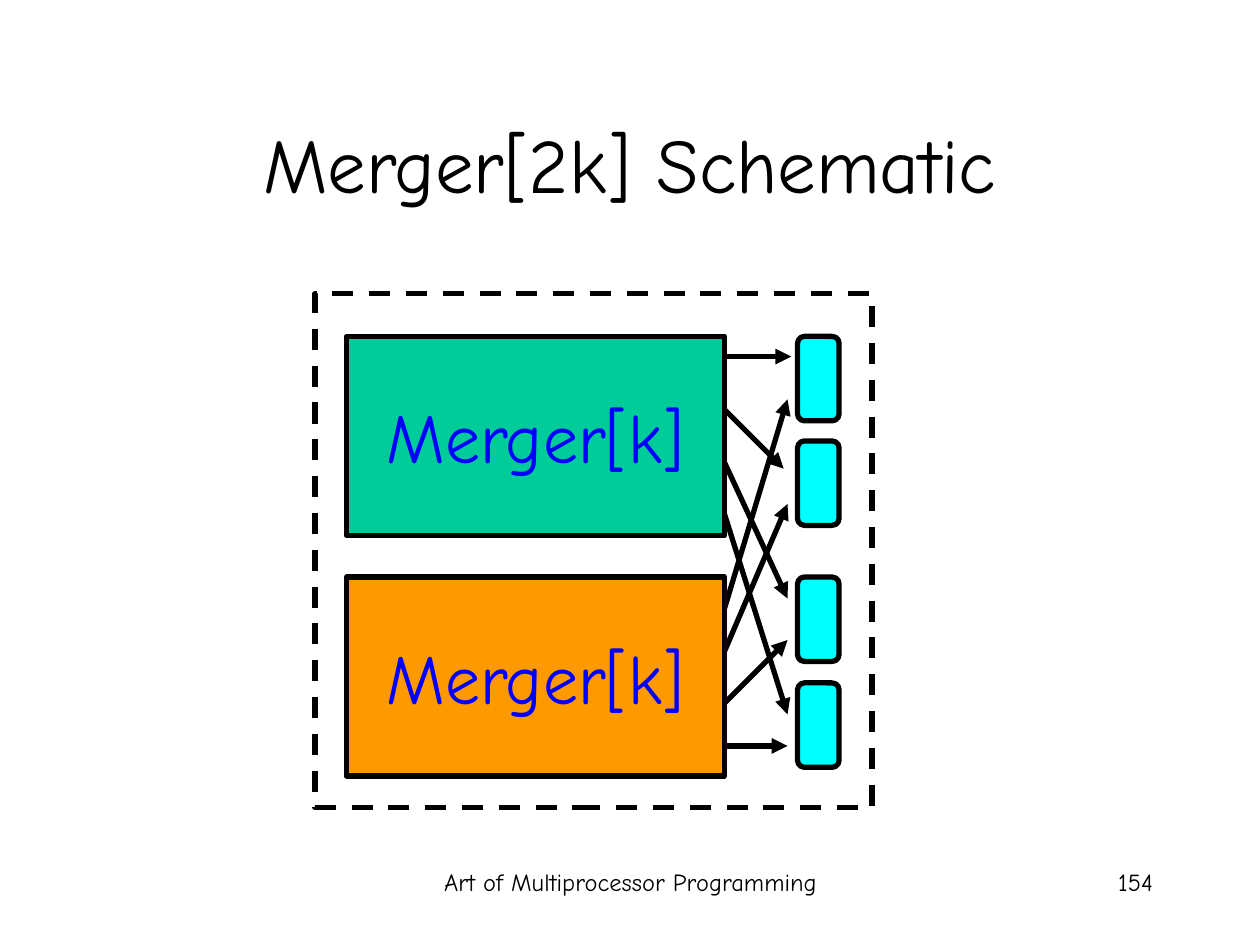
from pptx import Presentation
from pptx.dml.color import RGBColor
from pptx.enum.dml import MSO_LINE
from pptx.enum.shapes import MSO_CONNECTOR, MSO_SHAPE
from pptx.enum.text import MSO_ANCHOR, PP_ALIGN
from pptx.oxml.ns import qn
from pptx.util import Inches, Pt
from lxml.etree import SubElement

FONT = "Comic Neue"
BLACK = RGBColor(0x00, 0x00, 0x00)
BLUE = RGBColor(0x00, 0x00, 0xFF)
GREEN = RGBColor(0x00, 0xCC, 0x99)
ORANGE = RGBColor(0xFF, 0x99, 0x00)
CYAN = RGBColor(0x00, 0xFF, 0xFF)

MERGER_WIDTH, MERGER_HEIGHT = 3, 1.58
BALANCER_WIDTH, BALANCER_HEIGHT = 0.33, 0.67
# Offsets from the top left corner of the frame
MERGER_LEFT = 0.25
MERGERS = [(0.34, GREEN), (2.25, ORANGE)]
BALANCER_LEFT = 3.83
BALANCER_TOPS = [0.34, 1.17, 2.25, 3.09]
WIRE_START, WIRE_END = 3.25, 3.75
# (height at the merger, end across, height at the balancer)
WIRES = [
    (0.5, 3.78, 0.5), (0.92, 3.72, 1.39),
    (2.5, WIRE_END, 0.84), (2.84, WIRE_END, 1.67),
    (3.25, WIRE_END, 2.75), (3.59, WIRE_END, 3.59),
    (1.34, WIRE_END, 2.42), (1.75, WIRE_END, 3.34),
]


def write(frame, text, size, color, align):
    frame.text = text
    para = frame.paragraphs[0]
    para.alignment = align
    para.font.name = FONT
    para.font.size = Pt(size)
    para.font.color.rgb = color


def add_title(page, text, left, top, width, height):
    title = page.shapes.title
    title.left, title.top = Inches(left), Inches(top)
    title.width, title.height = Inches(width), Inches(height)
    title.text_frame.vertical_anchor = MSO_ANCHOR.MIDDLE
    write(title.text_frame, text, 44, BLACK, PP_ALIGN.CENTER)


def add_outlined(page, kind, left, top, width, height, fill=None):
    shape = page.shapes.add_shape(
        kind, Inches(left), Inches(top), Inches(width), Inches(height))
    shape.shadow.inherit = False
    if fill is None:
        shape.fill.background()
    else:
        shape.fill.solid()
        shape.fill.fore_color.rgb = fill
    shape.line.color.rgb = BLACK
    shape.line.width = Pt(3)
    return shape


def add_wire(page, x1, y1, x2, y2):
    """Draw a line with an arrowhead at its second end."""
    wire = page.shapes.add_connector(
        MSO_CONNECTOR.STRAIGHT, Inches(x1), Inches(y1), Inches(x2), Inches(y2))
    wire.line.color.rgb = BLACK
    wire.line.width = Pt(3)
    SubElement(wire.line._get_or_add_ln(), qn("a:tailEnd"), type="triangle")
    SubElement(wire._element.spPr, qn("a:effectLst"))


def add_network(page, left, top, width, height):
    """Draw two mergers wired to a column of balancers in a dashed frame."""
    for offset, color in MERGERS:
        merger = add_outlined(page, MSO_SHAPE.RECTANGLE, left + MERGER_LEFT,
                              top + offset, MERGER_WIDTH, MERGER_HEIGHT, color)
        merger.text_frame.word_wrap = False
        merger.text_frame.vertical_anchor = MSO_ANCHOR.MIDDLE
        write(merger.text_frame, "Merger[k]", 40, BLUE, PP_ALIGN.CENTER)
    for offset in BALANCER_TOPS:
        add_outlined(page, MSO_SHAPE.ROUNDED_RECTANGLE, left + BALANCER_LEFT,
                     top + offset, BALANCER_WIDTH, BALANCER_HEIGHT, CYAN)
    for start, end_across, end in WIRES:
        add_wire(page, left + WIRE_START, top + start,
                 left + end_across, top + end)
    frame = add_outlined(page, MSO_SHAPE.RECTANGLE, left, top, width, height)
    frame.line.dash_style = MSO_LINE.DASH


def add_footer(page, text, align, left, top, width, height):
    box = page.shapes.add_textbox(
        Inches(left), Inches(top), Inches(width), Inches(height))
    box.text_frame.word_wrap = True
    write(box.text_frame, text, 14, BLACK, align)


def main():
    deck = Presentation()
    deck.slide_width, deck.slide_height = Inches(10), Inches(7.5)
    page = deck.slides.add_slide(deck.slide_layouts.get_by_name("Title Only"))
    add_title(page, "Merger[2k] Schematic", 0.75, 0.67, 8.5, 1.25)
    add_network(page, 2.5, 2.33, 4.42, 4.08)
    add_footer(page, "Art of Multiprocessor Programming", PP_ALIGN.CENTER,
               3.42, 6.83, 3.17, 0.5)
    add_footer(page, "154", PP_ALIGN.RIGHT, 7.17, 6.83, 2.08, 0.5)
    deck.save("out.pptx")


if __name__ == "__main__":
    main()
